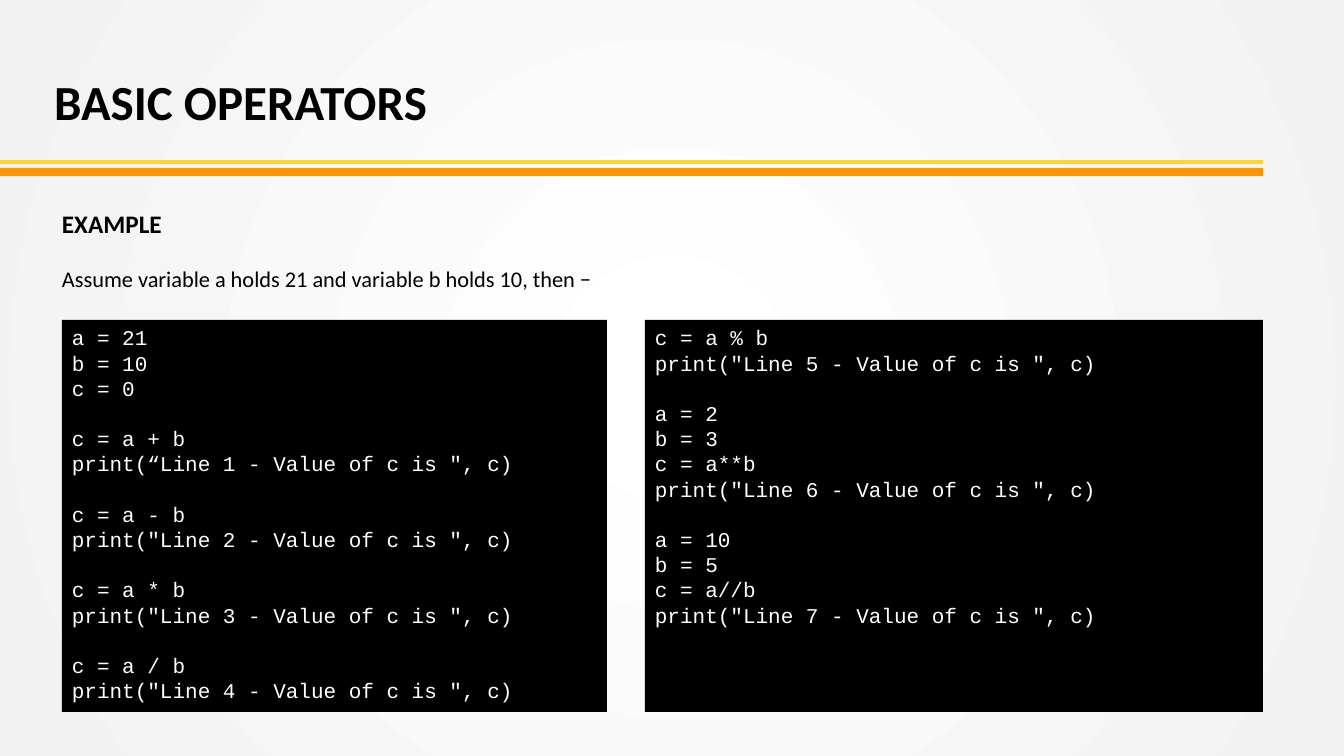
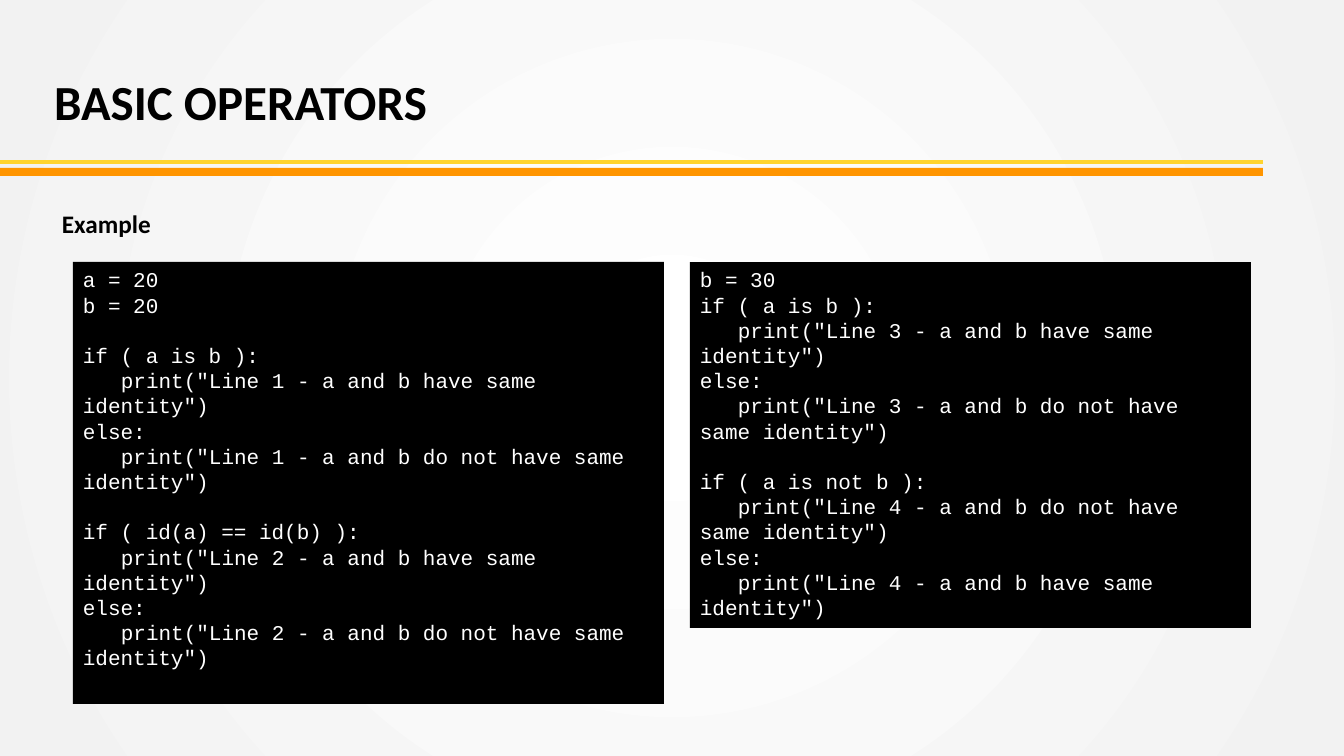
"""Build two slides of basic operator examples with code panels."""
from lxml import etree
from pptx import Presentation
from pptx.dml.color import RGBColor
from pptx.enum.shapes import MSO_CONNECTOR, MSO_SHAPE
from pptx.enum.text import MSO_ANCHOR, MSO_AUTO_SIZE, PP_ALIGN
from pptx.oxml.ns import qn
from pptx.util import Emu, Pt

RECTANGLE = MSO_SHAPE.RECTANGLE
STRAIGHT = MSO_CONNECTOR.STRAIGHT
TOP = MSO_ANCHOR.TOP
NO_RESIZE = MSO_AUTO_SIZE.NONE
LEFT = PP_ALIGN.LEFT
PX = 914400 / 100.8
TITLE_ONLY = 5
BAR_RIGHT = 1263
CODE_INDENT = 38

COLOURS = {
    "text": "000000", "panel": "000000", "code": "FFFFFF",
    "rule": "FFD42E", "bar": "FF9500",
    "centre": "FFFFFF", "edge": "F2F2F2",
}
STYLES = {
    "title": {"name": "Calibri", "size": Pt(35), "bold": True},
    "heading": {"name": "Calibri", "size": Pt(18), "bold": True},
    "body": {"name": "Calibri", "size": Pt(16), "bold": False},
    "code": {"name": "Courier New", "size": Pt(15), "bold": False},
}
HEADING_FRAME = {"margin_left": 0, "margin_top": 0, "margin_right": 0,
                 "margin_bottom": Pt(3.6), "word_wrap": True,
                 "auto_size": NO_RESIZE, "vertical_anchor": TOP}
CODE_FRAME = {"word_wrap": True, "auto_size": NO_RESIZE, "vertical_anchor": TOP}
CODE_PARA = {"line_spacing": Pt(18)}

PAGES = [
    {
        "texts": [("EXAMPLE", "heading"),
                  ("Assume variable a holds 21 and variable b holds 10, then −", "body")],
        "panels": [
            ((62, 320, 545, 392), '''a = 21
b = 10
c = 0

c = a + b
print(“Line 1 - Value of c is ", c)

c = a - b
print("Line 2 - Value of c is ", c)

c = a * b
print("Line 3 - Value of c is ", c)

c = a / b
print("Line 4 - Value of c is ", c)'''),
            ((645, 320, 618, 392), '''c = a % b
print("Line 5 - Value of c is ", c)

a = 2
b = 3
c = a**b
print("Line 6 - Value of c is ", c)

a = 10
b = 5
c = a//b
print("Line 7 - Value of c is ", c)'''),
        ],
    },
    {
        "texts": [("Example", "heading")],
        "panels": [
            ((73, 262, 591, 442), '''a = 20
b = 20

if ( a is b ):
   print("Line 1 - a and b have same identity")
else:
   print("Line 1 - a and b do not have same identity")

if ( id(a) == id(b) ):
   print("Line 2 - a and b have same identity")
else:
   print("Line 2 - a and b do not have same identity")'''),
            ((690, 262, 561, 366), '''b = 30
if ( a is b ):
   print("Line 3 - a and b have same identity")
else:
   print("Line 3 - a and b do not have same identity")

if ( a is not b ):
   print("Line 4 - a and b do not have same identity")
else:
   print("Line 4 - a and b have same identity")'''),
        ],
    },
]


def px(*lengths):
    """Turn pixel lengths into EMU."""
    return [Emu(round(length * PX)) for length in lengths]


def write(frame, lines, frame_format, para_format):
    """Write (text, style, colour, space before, indent) lines into a frame."""
    for name, value in frame_format.items():
        setattr(frame, name, value)
    for index, (text, style, colour, space, indent) in enumerate(lines):
        para = frame.add_paragraph() if index else frame.paragraphs[0]
        para.alignment = LEFT
        para.space_before = Pt(space)
        for name, value in para_format.items():
            setattr(para, name, value)
        if indent:
            para._p.get_or_add_pPr().set("indent", str(px(indent)[0]))
        span = para.add_run()
        span.text = text
        for name, value in STYLES[style].items():
            setattr(span.font, name, value)
        span.font.color.rgb = RGBColor.from_string(COLOURS[colour])


deck = Presentation()
deck.slide_width, deck.slide_height = px(1344, 756)

master = deck.slide_master
backdrop = master.background.fill
backdrop.gradient()
for stop, (colour, position) in zip(backdrop.gradient_stops, [("centre", 0.02), ("edge", 1)]):
    stop.color.rgb = RGBColor.from_string(COLOURS[colour])
    stop.position = position
gradient = next(master.element.iter(qn("a:gradFill")))
gradient.remove(gradient.find(qn("a:lin")))
circle = etree.SubElement(gradient, qn("a:path"), {"path": "circle"})
etree.SubElement(circle, qn("a:fillToRect"), dict.fromkeys("ltrb", "50000"))

for content in PAGES:
    page = deck.slides.add_slide(deck.slide_layouts[TITLE_ONLY])

    title = page.shapes.title
    title.left, title.top, title.width, title.height = px(54, 71, 793, 65)
    write(title.text_frame, [("BASIC OPERATORS", "title", "text", 0, 0)], HEADING_FRAME, {})

    rule = page.shapes.add_connector(STRAIGHT, *px(0, 162, BAR_RIGHT, 162))
    rule.line.color.rgb = RGBColor.from_string(COLOURS["rule"])
    rule.line.width = Pt(3)
    etree.SubElement(rule._element.spPr, qn("a:effectLst"))

    intro = page.shapes.add_textbox(*px(62, 208, 1200, 90))
    lines = [(text, style, "text", 19.5 if index else 0, 0)
             for index, (text, style) in enumerate(content["texts"])]
    write(intro.text_frame, lines, HEADING_FRAME, {})

    blocks = [((0, 168, BAR_RIGHT, 8), "bar", "")]
    blocks += [(place, "panel", code) for place, code in content["panels"]]
    for place, colour, code in blocks:
        box = page.shapes.add_shape(RECTANGLE, *px(*place))
        box.shadow.inherit = False
        box.fill.solid()
        box.fill.fore_color.rgb = RGBColor.from_string(COLOURS[colour])
        box.line.fill.background()
        lines = []
        for group_index, group in enumerate(code.split("\n\n") if code else []):
            for line_index, line in enumerate(group.split("\n")):
                space = 18 if group_index and not line_index else 0
                indent = CODE_INDENT if line.startswith(" ") else 0
                lines.append((line.strip(), "code", "code", space, indent))
        write(box.text_frame, lines, CODE_FRAME, CODE_PARA)

deck.save("out.pptx")
